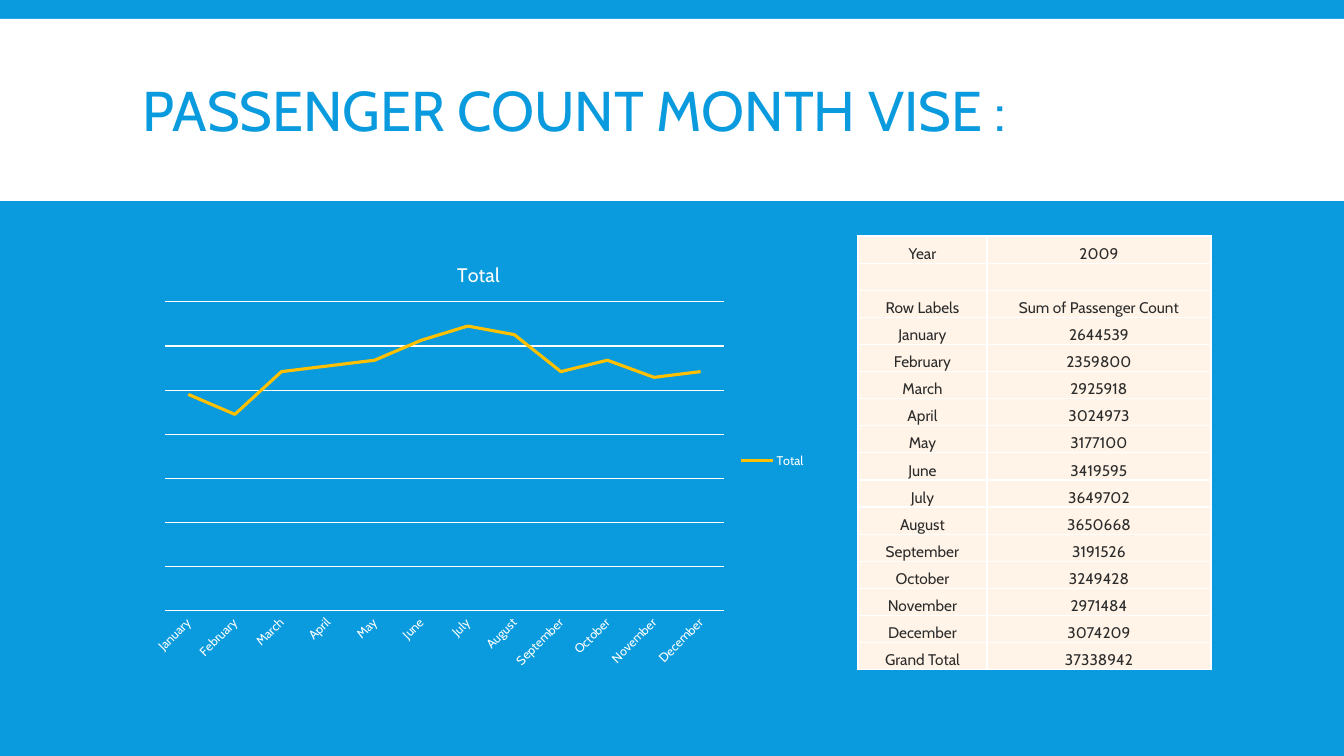
import pptx
import pptx.util
import pptx.oxml
import pptx.oxml.ns
import pptx.chart.data
import pptx.dml.color
import pptx.enum.chart
import pptx.enum.shapes
import pptx.enum.text

HEADING = "PASSENGER COUNT MONTH VISE :"
MONTHS = ["January", "February", "March", "April", "May", "June", "July",
          "August", "September", "October", "November", "December"]
PASSENGERS = [2644539, 2359800, 2925918, 3024973, 3177100, 3419595, 3649702,
              3650668, 3191526, 3249428, 2971484, 3074209]
COUNT_ROWS = [("Year", "2009"), ("", ""), ("Row Labels", "Sum of Passenger Count"),
              *zip(MONTHS, map(str, PASSENGERS)), ("Grand Total", "37338942")]
TREND_NAME = "Total"
TREND = [76, 69, 84, 86, 88, 95, 100, 97, 84, 88, 82, 84]
GRID_STEP, GRID_COUNT = 15.5, 7

FONT = "Cabin"
BLUE = pptx.dml.color.RGBColor(0x09, 0x9B, 0xDD)
WHITE = pptx.dml.color.RGBColor(0xFF, 0xFF, 0xFF)
CREAM = pptx.dml.color.RGBColor(0xFF, 0xF4, 0xE7)
INK = pptx.dml.color.RGBColor(0x2C, 0x2C, 0x2C)
GOLD = pptx.dml.color.RGBColor(0xFF, 0xC0, 0x00)

SLIDE = (1344, 756)
BAND = (0, 19, 1344, 182)
HEADING_BOX = (133, 31, 1079, 166)
COUNT_BOX = (858, 236, 353, 434)
COUNT_COLUMNS = (129, 224)
TREND_BOX = (141, 244, 675, 433)
PLOT_BOX = (165, 302, 559, 309)


def px(length):
    return round(length * 914400 / 100.8)


def place(box):
    return [px(length) for length in box]


def style(font, size, color):
    for name, value in {"name": FONT, "size": pptx.util.Pt(size), "bold": False}.items():
        setattr(font, name, value)
    font.color.rgb = color


def stroke(line, color, width):
    line.color.rgb = color
    line.width = pptx.util.Pt(width)


def add_heading(slide):
    band = slide.shapes.add_shape(pptx.enum.shapes.MSO_SHAPE.RECTANGLE, *place(BAND))
    band.shadow.inherit = False
    band.fill.solid()
    band.fill.fore_color.rgb = WHITE
    band.line.fill.background()
    frame = slide.shapes.add_textbox(*place(HEADING_BOX)).text_frame
    frame.word_wrap = True
    frame.vertical_anchor = pptx.enum.text.MSO_ANCHOR.MIDDLE
    heading = frame.paragraphs[0]
    heading.text = HEADING
    heading.line_spacing = 0.85
    style(heading.runs[0].font, 40, BLUE)


def fill_cell(cell, text):
    layout = {"margin_left": px(1), "margin_right": px(1), "margin_top": px(1),
              "margin_bottom": 0, "vertical_anchor": pptx.enum.text.MSO_ANCHOR.BOTTOM}
    for name, value in layout.items():
        setattr(cell, name, value)
    for side in ("lnL", "lnR", "lnT", "lnB"):
        cell._tc.get_or_add_tcPr().append(pptx.oxml.parse_xml(
            f'<a:{side} {pptx.oxml.ns.nsdecls("a")} w="12700"><a:solidFill>'
            f'<a:srgbClr val="{WHITE}"/></a:solidFill></a:{side}>'))
    cell.fill.solid()
    cell.fill.fore_color.rgb = CREAM
    label = cell.text_frame.paragraphs[0]
    label.alignment = pptx.enum.text.PP_ALIGN.CENTER
    if text:
        label.text = text
        style(label.runs[0].font, 11, INK)
    else:
        label._p.get_or_add_endParaRPr().set("sz", "1100")


def add_counts(slide):
    counts = slide.shapes.add_table(len(COUNT_ROWS), 2, *place(COUNT_BOX)).table
    counts.first_row = counts.horz_banding = False
    for column, width in zip(counts.columns, COUNT_COLUMNS):
        column.width = px(width)
    for row, texts in zip(counts.rows, COUNT_ROWS):
        row.height = px(COUNT_BOX[3] / len(COUNT_ROWS))
        for cell, text in zip(row.cells, texts):
            fill_cell(cell, text)


def fix_plot_area(chart):
    left, top, width, height = TREND_BOX
    fractions = {"x": (PLOT_BOX[0] - left) / width, "y": (PLOT_BOX[1] - top) / height,
                 "w": PLOT_BOX[2] / width, "h": PLOT_BOX[3] / height}
    modes = '<c:layoutTarget val="inner"/><c:xMode val="edge"/><c:yMode val="edge"/>'
    sizes = "".join(f'<c:{key} val="{value:.4f}"/>' for key, value in fractions.items())
    plot_area = chart._chartSpace.chart.plotArea
    for automatic in plot_area.findall(pptx.oxml.ns.qn("c:layout")):
        plot_area.remove(automatic)
    plot_area.insert(0, pptx.oxml.parse_xml(
        f'<c:layout {pptx.oxml.ns.nsdecls("c")}><c:manualLayout>{modes}{sizes}'
        '</c:manualLayout></c:layout>'))


def add_trend(slide):
    trend = pptx.chart.data.CategoryChartData()
    trend.categories = MONTHS
    trend.add_series(TREND_NAME, TREND)
    chart = slide.shapes.add_chart(
        pptx.enum.chart.XL_CHART_TYPE.LINE, *place(TREND_BOX), trend).chart
    style(chart.font, 10, WHITE)
    chart.has_title = True
    chart.chart_title.include_in_layout = False
    chart.chart_title.text_frame.text = TREND_NAME
    style(chart.chart_title.text_frame.paragraphs[0].runs[0].font, 14, WHITE)
    chart.has_legend = True
    chart.legend.position = pptx.enum.chart.XL_LEGEND_POSITION.RIGHT
    chart.legend.include_in_layout = False
    style(chart.legend.font, 9, WHITE)

    months = chart.category_axis
    months.major_tick_mark = pptx.enum.chart.XL_TICK_MARK.NONE
    style(months.tick_labels.font, 9, WHITE)
    months._element.find(pptx.oxml.ns.qn("c:txPr")).bodyPr.set("rot", "-2700000")
    stroke(months.format.line, WHITE, 0.75)

    scale = {"minimum_scale": 0, "maximum_scale": GRID_STEP * GRID_COUNT,
             "major_unit": GRID_STEP, "has_major_gridlines": True, "visible": False}
    for name, value in scale.items():
        setattr(chart.value_axis, name, value)
    stroke(chart.value_axis.major_gridlines.format.line, WHITE, 0.75)

    chart.plots[0].vary_by_categories = False
    total = chart.plots[0].series[0]
    total.smooth = False
    total.marker.style = pptx.enum.chart.XL_MARKER_STYLE.NONE
    stroke(total.format.line, GOLD, 2.25)
    fix_plot_area(chart)


def main():
    deck = pptx.Presentation()
    deck.slide_width, deck.slide_height = place(SLIDE)
    slide = deck.slides.add_slide(deck.slide_layouts[6])
    slide.background.fill.solid()
    slide.background.fill.fore_color.rgb = BLUE
    add_heading(slide)
    add_counts(slide)
    add_trend(slide)
    deck.save("out.pptx")


if __name__ == "__main__":
    main()
